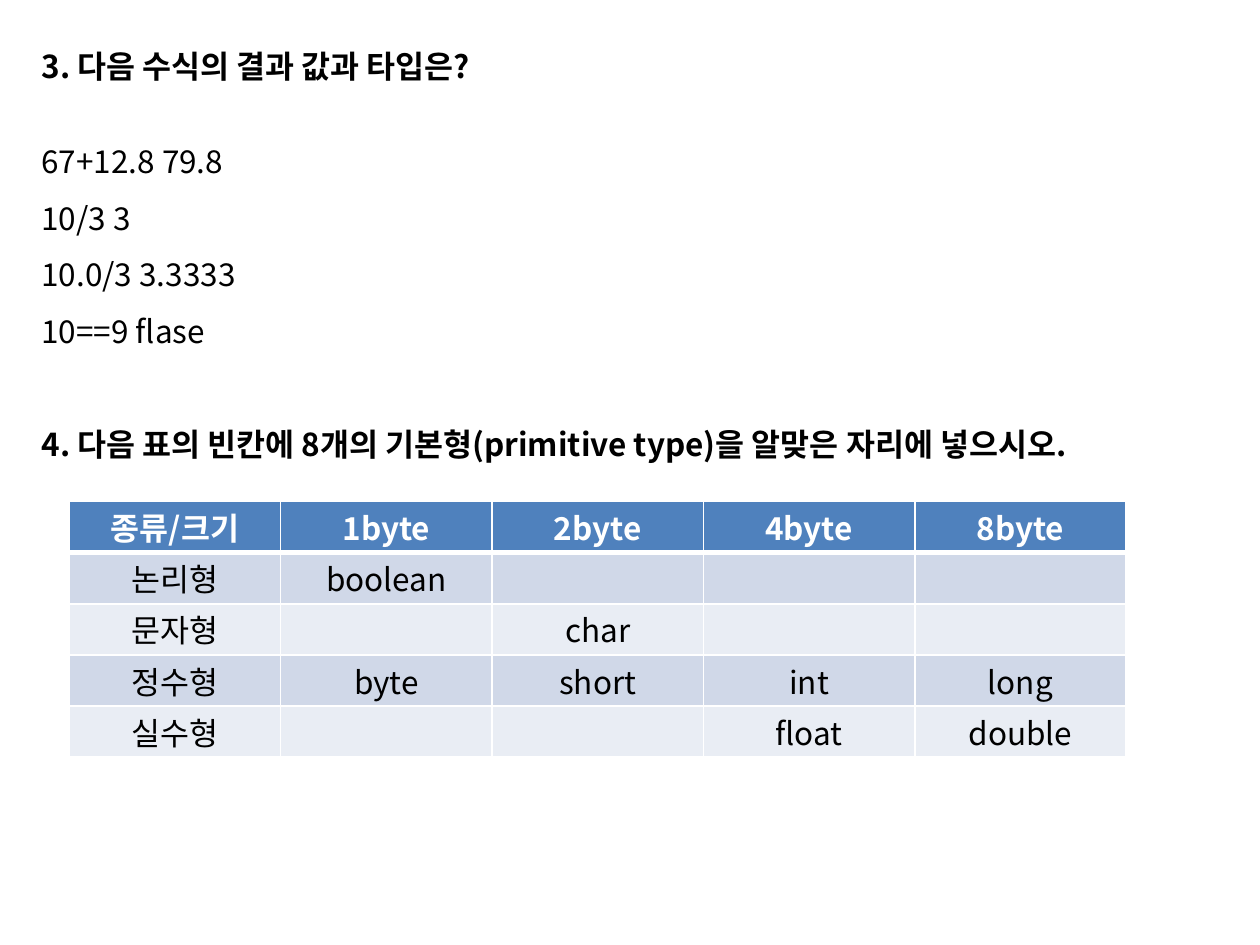
from lxml.etree import SubElement
from pptx import Presentation
from pptx.dml.color import RGBColor
from pptx.enum.text import MSO_ANCHOR as Anchor, PP_ALIGN as Align
from pptx.oxml.ns import qn
from pptx.util import Pt

FONT = "Noto Sans CJK KR"
LINE = 21.6
WIDE_LINE = LINE * 1.5

EXPRESSIONS = ["67+12.8 79.8", "10/3 3", "10.0/3 3.3333", "10==9 flase"]
QUESTIONS = [
    ("3. 다음 수식의 결과 값과 타입은?", True, LINE, 0),
    ("\v".join(EXPRESSIONS), False, WIDE_LINE, LINE),
    ("4. 다음 표의 빈칸에 8개의 기본형(primitive type)을 알맞은 자리에 넣으시오.",
     True, WIDE_LINE, WIDE_LINE),
]
TYPES = [
    ["종류/크기", "1byte", "2byte", "4byte", "8byte"],
    ["논리형", "boolean", "", "", ""],
    ["문자형", "", "char", "", ""],
    ["정수형", "byte", "short", "int", "long"],
    ["실수형", "", "", "float", "double"],
]
HEADER_FILL = "4F81BD"
BAND_FILLS = ["E9EDF4", "D0D8E8"]
COLUMN_WIDTH, ROW_HEIGHT = 120.8, 29.2


def color(value):
    return RGBColor.from_string(value)


def apply(target, values):
    for name, value in values.items():
        setattr(target, name, value)


def write(para, text, bold, ink, layout):
    para.text = text
    apply(para, layout)
    for span in para.runs:
        apply(span.font, {"name": FONT, "size": Pt(18), "bold": bold})
        span.font.color.rgb = color(ink)
        SubElement(span.font._element, qn("a:ea"), typeface=FONT)


def add_border(cell, side, width):
    line = SubElement(cell._tc.get_or_add_tcPr(), qn(f"a:ln{side}"), w=str(Pt(width)))
    fill = SubElement(line, qn("a:solidFill"))
    SubElement(fill, qn("a:srgbClr"), val="FFFFFF")


def add_questions(page):
    box = page.shapes.add_textbox(Pt(16.6), Pt(23.5), Pt(680.4), Pt(334))
    frame = box.text_frame
    frame.word_wrap = True
    for index, (text, bold, spacing, before) in enumerate(QUESTIONS):
        para = frame.add_paragraph() if index else frame.paragraphs[0]
        layout = {"line_spacing": Pt(spacing), "space_before": Pt(before)}
        write(para, text, bold, "000000", layout)


def add_type_table(page):
    rows, columns = len(TYPES), len(TYPES[0])
    table = page.shapes.add_table(
        rows, columns, Pt(39.6), Pt(286.6),
        Pt(COLUMN_WIDTH * columns), Pt(ROW_HEIGHT * rows)).table
    for column in table.columns:
        column.width = Pt(COLUMN_WIDTH)
    for row_index, labels in enumerate(TYPES):
        table.rows[row_index].height = Pt(ROW_HEIGHT)
        header = row_index == 0
        widths = {"L": 1, "R": 1, "T": 3 if row_index == 1 else 1, "B": 3 if header else 1}
        for column_index, label in enumerate(labels):
            cell = table.cell(row_index, column_index)
            apply(cell, {"margin_top": Pt(6), "margin_bottom": Pt(1),
                         "vertical_anchor": Anchor.TOP})
            for side, width in widths.items():
                add_border(cell, side, width)
            cell.fill.solid()
            cell.fill.fore_color.rgb = color(HEADER_FILL if header else BAND_FILLS[row_index % 2])
            layout = {"alignment": Align.CENTER, "line_spacing": Pt(LINE)}
            write(cell.text_frame.paragraphs[0], label, header,
                  "FFFFFF" if header else "000000", layout)


def main():
    deck = Presentation()
    apply(deck, {"slide_width": Pt(720), "slide_height": Pt(540)})
    page = deck.slides.add_slide(deck.slide_layouts[6])
    add_questions(page)
    add_type_table(page)
    deck.save("out.pptx")


if __name__ == "__main__":
    main()
